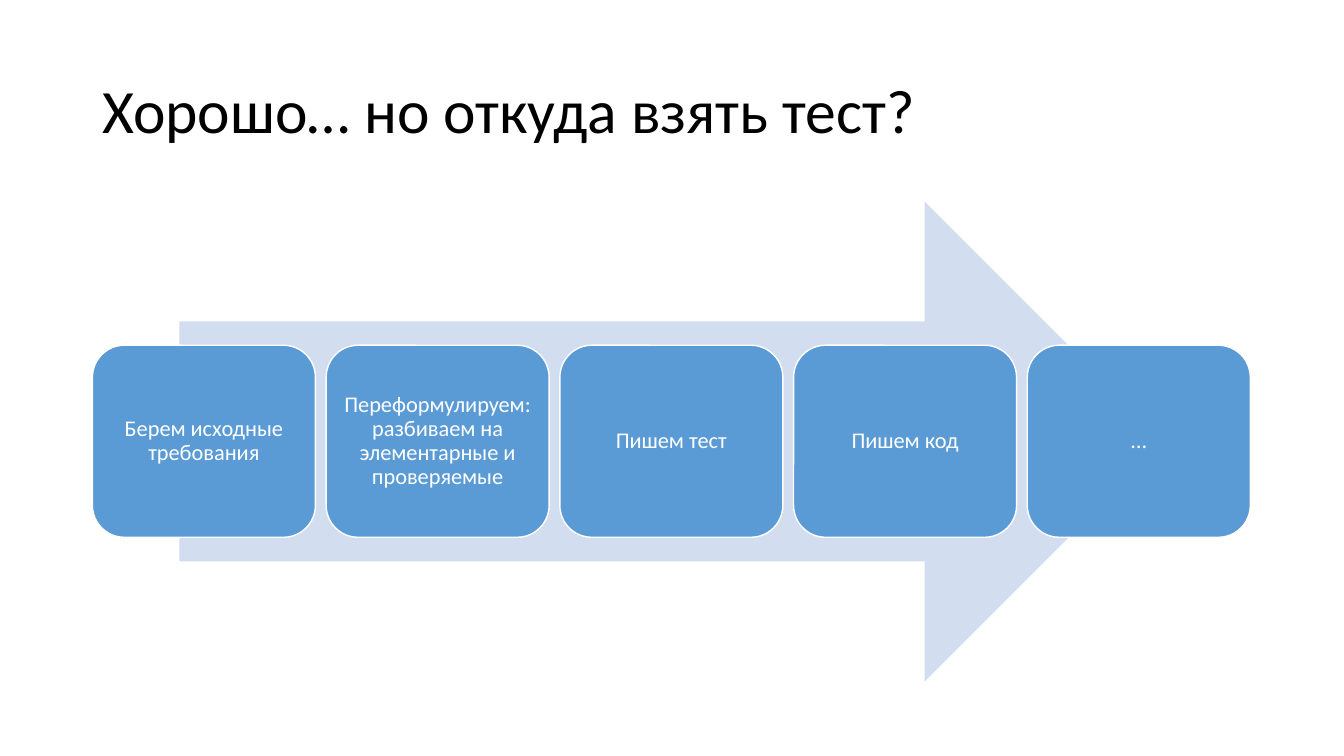
from pptx import Presentation
from pptx.dml.color import RGBColor
from pptx.enum.shapes import MSO_SHAPE
from pptx.enum.text import MSO_ANCHOR, PP_ALIGN
from pptx.util import Cm, Pt

BLACK = RGBColor(0x00, 0x00, 0x00)
WHITE = RGBColor(0xFF, 0xFF, 0xFF)
BLUE = RGBColor(0x5B, 0x9B, 0xD5)
PALE = RGBColor(0xD2, 0xDE, 0xEF)

STEPS = [
    "Берем исходные требования",
    "Переформулируем: разбиваем на элементарные и проверяемые",
    "Пишем тест",
    "Пишем код",
    "…",
]
LEFT, PITCH = 2.33, 5.89


def write(shape, text, size, color, align):
    frame = shape.text_frame
    frame.word_wrap = True
    frame.vertical_anchor = MSO_ANCHOR.MIDDLE
    para = frame.paragraphs[0]
    para.text = text
    para.alignment = align
    para.line_spacing = 0.9
    para.font.name = "Calibri"
    para.font.size = Pt(size)
    para.font.color.rgb = color
    return frame


deck = Presentation()
deck.slide_width = Cm(33.87)
deck.slide_height = Cm(19.05)
slide = deck.slides.add_slide(deck.slide_layouts[6])
shapes = slide.shapes

title = shapes.add_textbox(Cm(LEFT), Cm(1.01), Cm(29.21), Cm(3.68))
write(title, "Хорошо… но откуда взять тест?", 44, BLACK, PP_ALIGN.LEFT)

arrow = shapes.add_shape(
    MSO_SHAPE.RIGHT_ARROW, Cm(4.52), Cm(5.08), Cm(24.83), Cm(12.09))
arrow.shadow.inherit = False
arrow.fill.solid()
arrow.fill.fore_color.rgb = PALE
arrow.line.fill.background()

for i, step in enumerate(STEPS):
    card = shapes.add_shape(
        MSO_SHAPE.ROUNDED_RECTANGLE,
        Cm(LEFT + i * PITCH), Cm(8.7), Cm(5.62), Cm(4.84))
    card.shadow.inherit = False
    card.fill.solid()
    card.fill.fore_color.rgb = BLUE
    card.line.color.rgb = WHITE
    card.line.width = Pt(1)
    frame = write(card, step, 16, WHITE, PP_ALIGN.CENTER)
    frame.margin_left = frame.margin_right = Cm(0.17)
    frame.margin_top = frame.margin_bottom = Cm(0.17)

deck.save("out.pptx")
